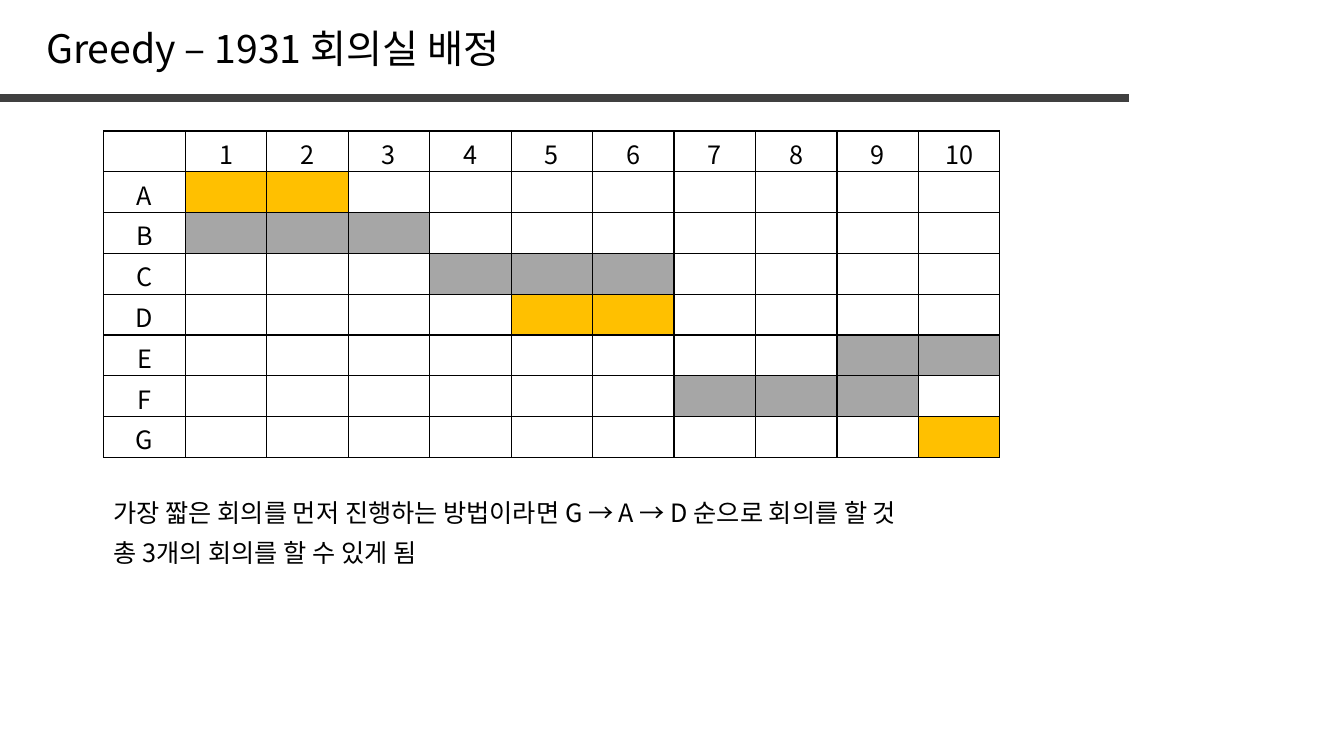
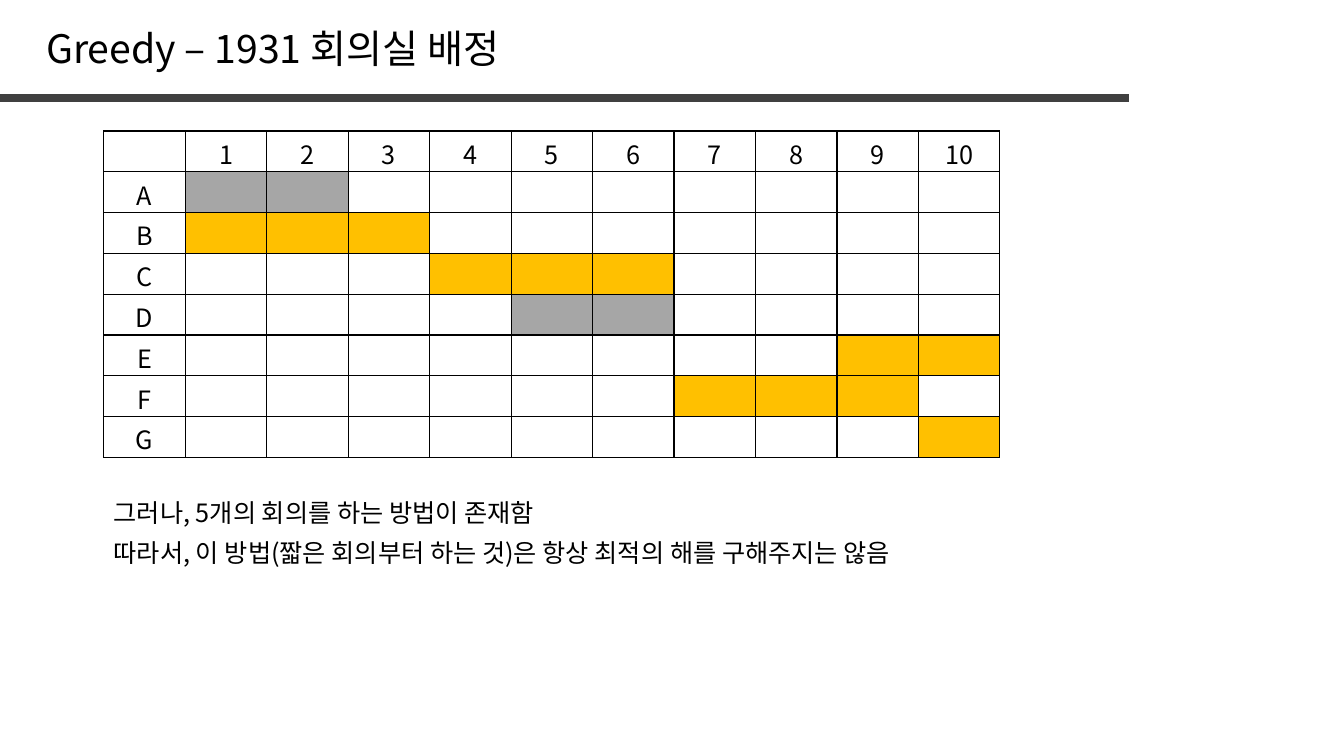
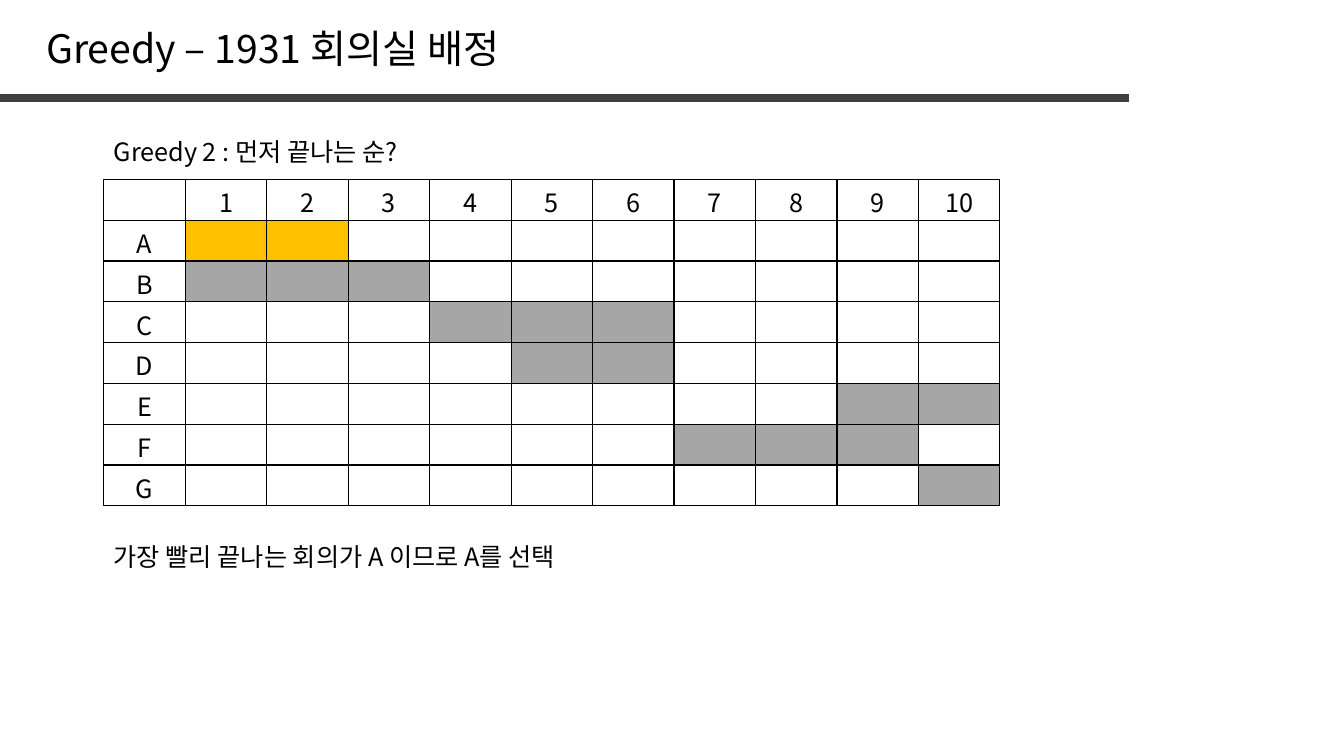
from lxml import etree
from pptx import Presentation
from pptx import util as u
from pptx.dml.color import RGBColor
from pptx.enum import shapes, text
from pptx.oxml.ns import qn

# Content
TITLE = "Greedy – 1931 회의실 배정"
HOURS = range(1, 11)
MEETINGS = {  # name: (first hour, last hour)
    "A": (1, 2), "B": (1, 3), "C": (4, 6), "D": (5, 6),
    "E": (9, 10), "F": (7, 9), "G": (10, 10),
}
SLIDES = [  # captions are (top, text)
    {"table_top": 130, "chosen": "ADG", "captions": [
        (488, "가장 짧은 회의를 먼저 진행하는 방법이라면 G → A → D 순으로 회의를 할 것"),
        (528, "총 3개의 회의를 할 수 있게 됨")]},
    {"table_top": 130, "chosen": "BCEFG", "captions": [
        (488, "그러나, 5개의 회의를 하는 방법이 존재함"),
        (528, "따라서, 이 방법(짧은 회의부터 하는 것)은 항상 최적의 해를 구해주지는 않음")]},
    {"table_top": 178, "chosen": "A", "captions": [
        (130, "Greedy 2 : 먼저 끝나는 순?"),
        (532, "가장 빨리 끝나는 회의가 A 이므로 A를 선택")]},
]

# Theme and geometry (px, 100 to the inch)
THEME = {
    "font": "Noto Sans CJK KR", "title_size": 28, "body_size": 18,
    "ink": "000000", "rule": "404040", "chosen": "FFC000", "other": "A6A6A6",
    "rule_width": 6, "border_width": 1,
}
SCALE = 9144
SLIDE_SIZE = (1333, 750)
TITLE_BOX = (36, 19, 482, 57)
RULE_Y, RULE_END = 97, 1120
LEFT, CAPTION_WIDTH, CAPTION_HEIGHT = 103, 1120, 40
TABLE_WIDTH, TABLE_HEIGHT = 889, 324


def px(*lengths):
    return [u.Emu(length * SCALE) for length in lengths]


def color(name):
    return RGBColor.from_string(THEME[name])


def write(paragraph, words, size):
    run = paragraph.add_run()
    run.text = words
    run.font.size = u.Pt(THEME[size])
    run.font.color.rgb = color("ink")
    run.font.name = THEME["font"]
    east_asian = etree.SubElement(run.font._element, qn("a:ea"))
    east_asian.set("typeface", THEME["font"])


def add_text(slide, box, words, size, wrap=True):
    frame = slide.shapes.add_textbox(*px(*box)).text_frame
    settings = {"word_wrap": wrap, "margin_top": 0, "margin_bottom": 0,
                "vertical_anchor": text.MSO_ANCHOR.MIDDLE}
    for name, value in settings.items():
        setattr(frame, name, value)
    write(frame.paragraphs[0], words, size)


def add_header(slide):
    rule = slide.shapes.add_connector(
        shapes.MSO_CONNECTOR.STRAIGHT, *px(0, RULE_Y, RULE_END, RULE_Y))
    rule.line.color.rgb = color("rule")
    rule.line.width = u.Pt(THEME["rule_width"])
    etree.SubElement(rule._element.spPr, qn("a:effectLst"))
    add_text(slide, TITLE_BOX, TITLE, "title_size", wrap=False)


def add_borders(cell):
    properties = cell._tc.get_or_add_tcPr()
    for side in ("lnL", "lnR", "lnT", "lnB"):
        line = etree.SubElement(properties, qn(f"a:{side}"),
                                w=str(u.Pt(THEME["border_width"])))
        fill = etree.SubElement(line, qn("a:solidFill"))
        etree.SubElement(fill, qn("a:srgbClr"), val=THEME["ink"])


def format_cell(cell, label="", fill=None):
    cell.margin_top, cell.margin_bottom = px(4, 0)
    add_borders(cell)
    if fill:
        cell.fill.solid()
        cell.fill.fore_color.rgb = color(fill)
    else:
        cell.fill.background()
    if label:
        paragraph = cell.text_frame.paragraphs[0]
        paragraph.alignment = text.PP_ALIGN.CENTER
        write(paragraph, label, "body_size")


def add_timetable(slide, top, chosen):
    row_count, column_count = len(MEETINGS) + 1, len(HOURS) + 1
    table = slide.shapes.add_table(
        row_count, column_count,
        *px(LEFT, top, TABLE_WIDTH, TABLE_HEIGHT)).table
    table.first_row = table.horz_banding = False

    # Hour headings
    format_cell(table.cell(0, 0))
    for hour in HOURS:
        format_cell(table.cell(0, hour), str(hour))

    # One bar per meeting
    for row, (name, (first, last)) in enumerate(MEETINGS.items(), 1):
        format_cell(table.cell(row, 0), name)
        bar = "chosen" if name in chosen else "other"
        for hour in HOURS:
            format_cell(table.cell(row, hour),
                        fill=bar if first <= hour <= last else None)


def main():
    presentation = Presentation()
    presentation.slide_width, presentation.slide_height = px(*SLIDE_SIZE)
    for content in SLIDES:
        slide = presentation.slides.add_slide(presentation.slide_layouts[6])
        add_header(slide)
        add_timetable(slide, content["table_top"], content["chosen"])
        for top, words in content["captions"]:
            add_text(slide, (LEFT, top, CAPTION_WIDTH, CAPTION_HEIGHT),
                     words, "body_size")
    presentation.save("out.pptx")


if __name__ == "__main__":
    main()
